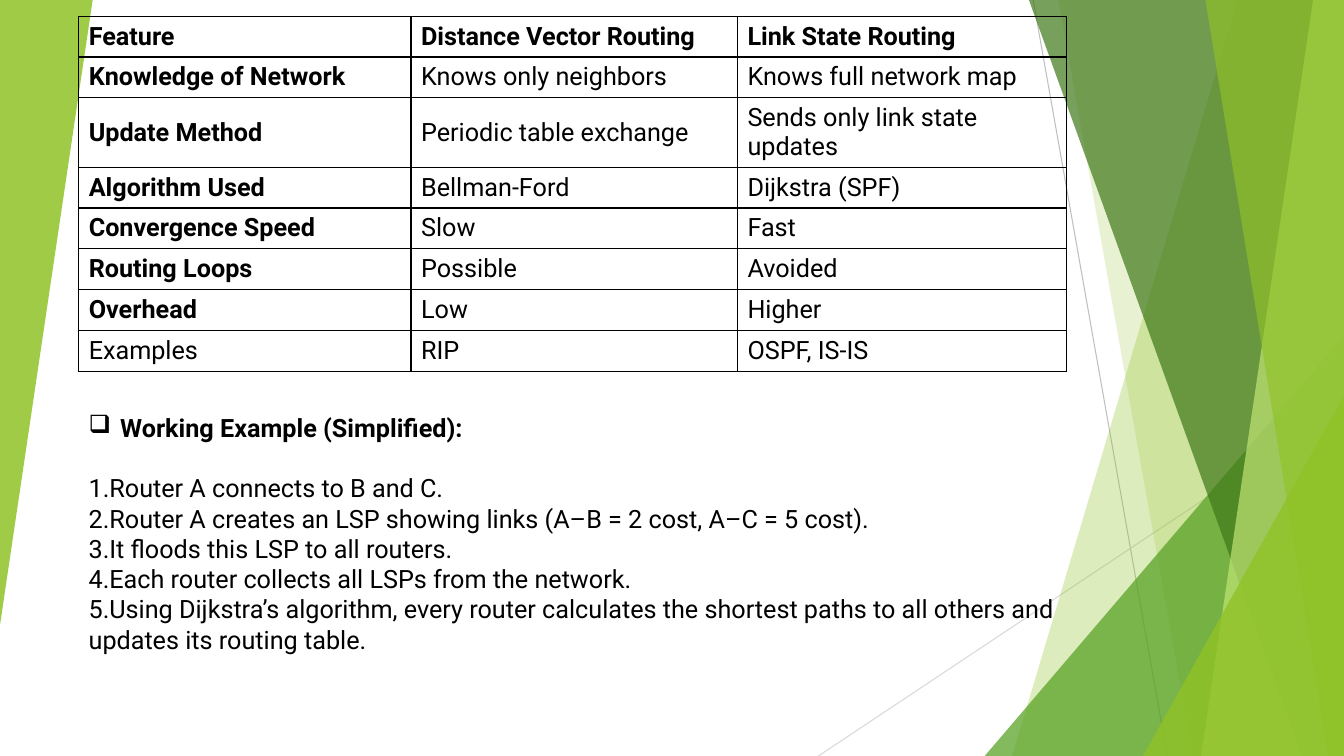
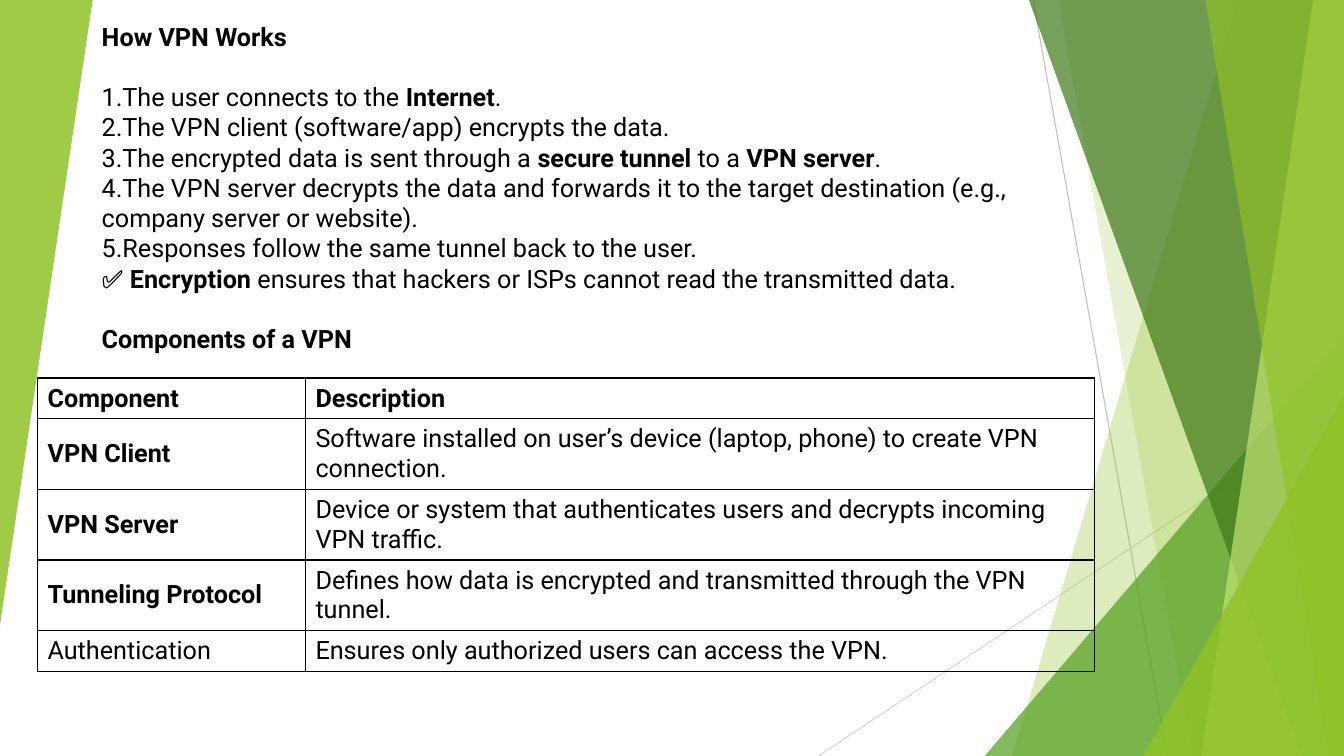
from lxml import etree
from pptx import Presentation
from pptx.dml.color import RGBColor
from pptx.enum.shapes import MSO_CONNECTOR, MSO_SHAPE
from pptx.enum.text import MSO_ANCHOR, MSO_AUTO_SIZE
from pptx.oxml.ns import qn
from pptx.util import Pt

STRAIGHT = MSO_CONNECTOR.STRAIGHT
TRIANGLE = MSO_SHAPE.ISOSCELES_TRIANGLE
MIDDLE = MSO_ANCHOR.MIDDLE
FIT_SHAPE = MSO_AUTO_SIZE.SHAPE_TO_FIT_TEXT

BLACK = RGBColor(0x00, 0x00, 0x00)
LIME = RGBColor(0x90, 0xC2, 0x26)
GREEN = RGBColor(0x54, 0xA0, 0x21)
FOREST = RGBColor(0x3F, 0x78, 0x19)
PALE_LIME = RGBColor(0xC0, 0xE4, 0x74)
GREY = RGBColor(0xBF, 0xBF, 0xBF)
LIGHT_GREY = RGBColor(0xD9, 0xD9, 0xD9)

FONT = "Roboto"
TEXT_SIZE = 18
LINE_HEIGHT = 21.6
ROW_HEIGHT = 29.2
BULLET_INDENT = 22.5
PAGE_BOX = (0, 0, 960, 540)

HAIRLINES = [
    ((738, 0), (833.8, 540), GREY),
    ((960, 290.2), (584.6, 540), LIGHT_GREY),
]
BACK_BANDS = [(884.2, 722.9, LIME, 30), (756, 851.8, LIME, 20)]
FRONT_BANDS = [
    (735.1, 929.5, FOREST, 70),
    (938.2, 858.2, PALE_LIME, 70),
    (861.1, 949, LIME, 65),
]
BACK_CORNER = (703.4, 239.8, GREEN, 72)
FRONT_CORNER = (816.5, 283, LIME, 80)
LEFT_WEDGE = (66.2, 446.4, LIME, 85)

ROUTING_ROWS = [
    ("Feature", "Distance Vector Routing", "Link State Routing"),
    ("Knowledge of Network", "Knows only neighbors", "Knows full network map"),
    ("Update Method", "Periodic table exchange", "Sends only link state updates"),
    ("Algorithm Used", "Bellman-Ford", "Dijkstra (SPF)"),
    ("Convergence Speed", "Slow", "Fast"),
    ("Routing Loops", "Possible", "Avoided"),
    ("Overhead", "Low", "Higher"),
    ("Examples", "RIP", "OSPF, IS-IS"),
]
ROUTING_EXAMPLE = [
    ("box", 0, [("Working Example (Simplified):", True)]),
    ("number", LINE_HEIGHT, [("Router A connects to B and C.", False)]),
    ("number", 0, [("Router A creates an LSP showing links (A–B = 2 cost, A–C = 5 cost).", False)]),
    ("number", 0, [("It floods this LSP to all routers.", False)]),
    ("number", 0, [("Each router collects all LSPs from the network.", False)]),
    ("number", 0, [("Using Dijkstra’s algorithm, every router calculates the shortest paths "
                    "to all others and updates its routing table.", False)]),
]
VPN_STEPS = [
    (None, 0, [("How VPN Works", True)]),
    ("number", LINE_HEIGHT, [("The user connects to the ", False), ("Internet", True), (".", False)]),
    ("number", 0, [("The VPN client (software/app) encrypts the data.", False)]),
    ("number", 0, [("The encrypted data is sent through a ", False), ("secure tunnel", True),
                   (" to a ", False), ("VPN server", True), (".", False)]),
    ("number", 0, [("The VPN server decrypts the data and forwards it to the target destination "
                    "(e.g., company server or website).", False)]),
    ("number", 0, [("Responses follow the same tunnel back to the user.", False)]),
    (None, 0, [("✅ ", False), ("Encryption", True),
               (" ensures that hackers or ISPs cannot read the transmitted data.", False)]),
    (None, LINE_HEIGHT, [("Components of a VPN", True)]),
]
VPN_ROWS = [
    ("Component", "Description"),
    ("VPN Client", "Software installed on user’s device (laptop, phone) to create VPN connection."),
    ("VPN Server", "Device or system that authenticates users and decrypts incoming VPN traffic."),
    ("Tunneling Protocol", "Defines how data is encrypted and transmitted through the VPN tunnel."),
    ("Authentication", "Ensures only authorized users can access the VPN."),
]


def paint(shape, colour, opacity):
    shape.shadow.inherit = False
    shape.line.fill.background()
    shape.fill.solid()
    shape.fill.fore_color.rgb = colour
    tint = shape.fill._xPr.find(qn("a:solidFill"))[0]
    etree.SubElement(tint, qn("a:alpha"), val=str(opacity * 1000))


def add_hairline(page, box, start, end, colour):
    left, top = box[:2]
    hairline = page.shapes.add_connector(
        STRAIGHT, Pt(left + start[0]), Pt(top + start[1]), Pt(left + end[0]), Pt(top + end[1]))
    hairline.line.color.rgb = colour
    hairline.line.width = Pt(0.75)
    etree.SubElement(hairline._element.spPr, qn("a:effectLst"))


def add_band(page, box, top_x, bottom_x, colour, opacity):
    left, top, width, height = box
    right, bottom = left + width, top + height
    outline = page.shapes.build_freeform(left + top_x, top, scale=Pt(1))
    outline.add_line_segments([(right, top), (right, bottom), (left + bottom_x, bottom)])
    paint(outline.convert_to_shape(), colour, opacity)


def add_wedge(page, box, colour, opacity, rotation=0):
    wedge = page.shapes.add_shape(TRIANGLE, *map(Pt, box))
    wedge.adjustments[0] = 1
    wedge.rotation = rotation
    paint(wedge, colour, opacity)


def add_corner(page, box, x, y, colour, opacity):
    left, top, width, height = box
    add_wedge(page, (left + x, top + y, width - x, height - y), colour, opacity)


def add_backdrop(page, box):
    for hairline in HAIRLINES:
        add_hairline(page, box, *hairline)
    for band in BACK_BANDS:
        add_band(page, box, *band)
    add_corner(page, box, *BACK_CORNER)
    for band in FRONT_BANDS:
        add_band(page, box, *band)
    add_corner(page, box, *FRONT_CORNER)
    width, height, colour, opacity = LEFT_WEDGE
    add_wedge(page, (box[0], box[1], width, height), colour, opacity, 180)


def add_span(para, text, bold):
    span = para.add_run()
    span.text = text
    span.font.name = FONT
    span.font.size = Pt(TEXT_SIZE)
    span.font.bold = bold
    span.font.color.rgb = BLACK


def add_bullet(para, kind):
    settings = para._p.get_or_add_pPr()
    if kind == "box":
        settings.set("marL", str(Pt(BULLET_INDENT)))
        settings.set("indent", str(-Pt(BULLET_INDENT)))
        etree.SubElement(settings, qn("a:buChar"), char="❑")
    elif kind == "number":
        etree.SubElement(settings, qn("a:buAutoNum"), type="arabicPeriod")


def add_text(page, box, paragraphs):
    frame = page.shapes.add_textbox(*map(Pt, box)).text_frame
    frame.word_wrap = True
    frame.auto_size = FIT_SHAPE
    for index, (bullet, gap, spans) in enumerate(paragraphs):
        para = frame.add_paragraph() if index else frame.paragraphs[0]
        if gap:
            para.space_before = Pt(gap)
        add_bullet(para, bullet)
        for text, bold in spans:
            add_span(para, text, bold)


def style_cell(cell):
    cell.vertical_anchor = MIDDLE
    settings = cell._tc.get_or_add_tcPr()
    for side in ("a:lnL", "a:lnR", "a:lnT", "a:lnB"):
        border = etree.SubElement(settings, qn(side), w=str(Pt(1)))
        fill = etree.SubElement(border, qn("a:solidFill"))
        etree.SubElement(fill, qn("a:srgbClr"), val=str(BLACK))
    cell.fill.background()


def add_grid(page, left, top, widths, rows):
    frame = page.shapes.add_table(
        len(rows), len(widths), Pt(left), Pt(top), Pt(sum(widths)), Pt(ROW_HEIGHT * len(rows)))
    table = frame.table
    table.first_row = False
    table.horz_banding = False
    for column, width in zip(table.columns, widths):
        column.width = Pt(width)
    for row_index, row in enumerate(rows):
        table.rows[row_index].height = Pt(ROW_HEIGHT)
        for column_index, text in enumerate(row):
            cell = table.cell(row_index, column_index)
            style_cell(cell)
            bold = row_index == 0 or (column_index == 0 and row_index < len(rows) - 1)
            add_span(cell.text_frame.paragraphs[0], text, bold)


def add_page(deck):
    page = deck.slides.add_slide(deck.slide_layouts[6])
    add_backdrop(page, PAGE_BOX)
    return page


def add_routing_page(deck):
    page = add_page(deck)
    add_grid(page, 56.2, 11.5, (237.4, 233.2, 235.2), ROUTING_ROWS)
    add_text(page, (56.2, 290.9, 705.8, 181.4), ROUTING_EXAMPLE)


def add_vpn_page(deck):
    page = add_page(deck)
    add_text(page, (65.6, 11.5, 679, 247), VPN_STEPS)
    add_grid(page, 26.8, 270, (191.4, 563.8), VPN_ROWS)


def main():
    deck = Presentation()
    deck.slide_width, deck.slide_height = map(Pt, PAGE_BOX[2:])
    add_routing_page(deck)
    add_vpn_page(deck)
    deck.save("out.pptx")


if __name__ == "__main__":
    main()
